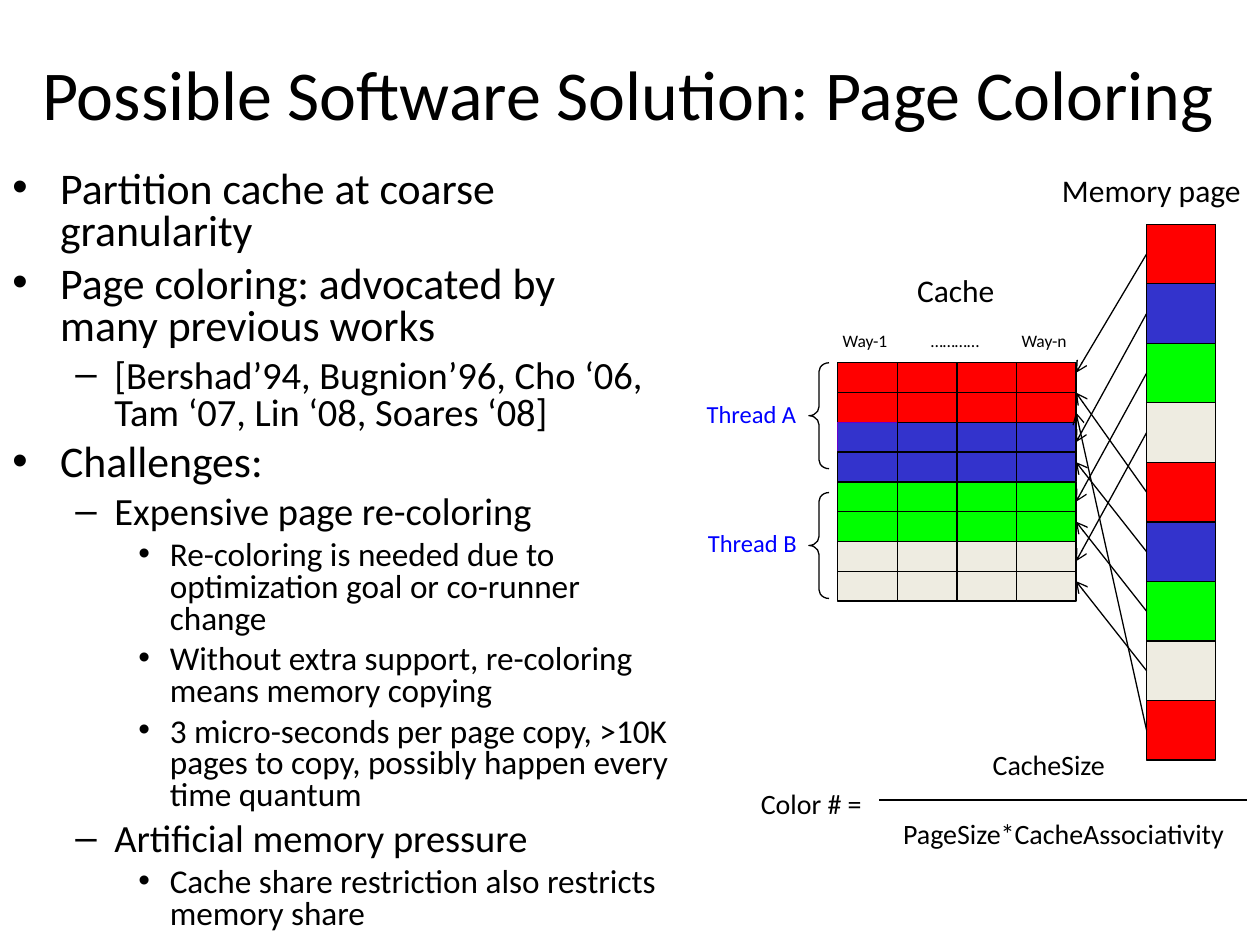
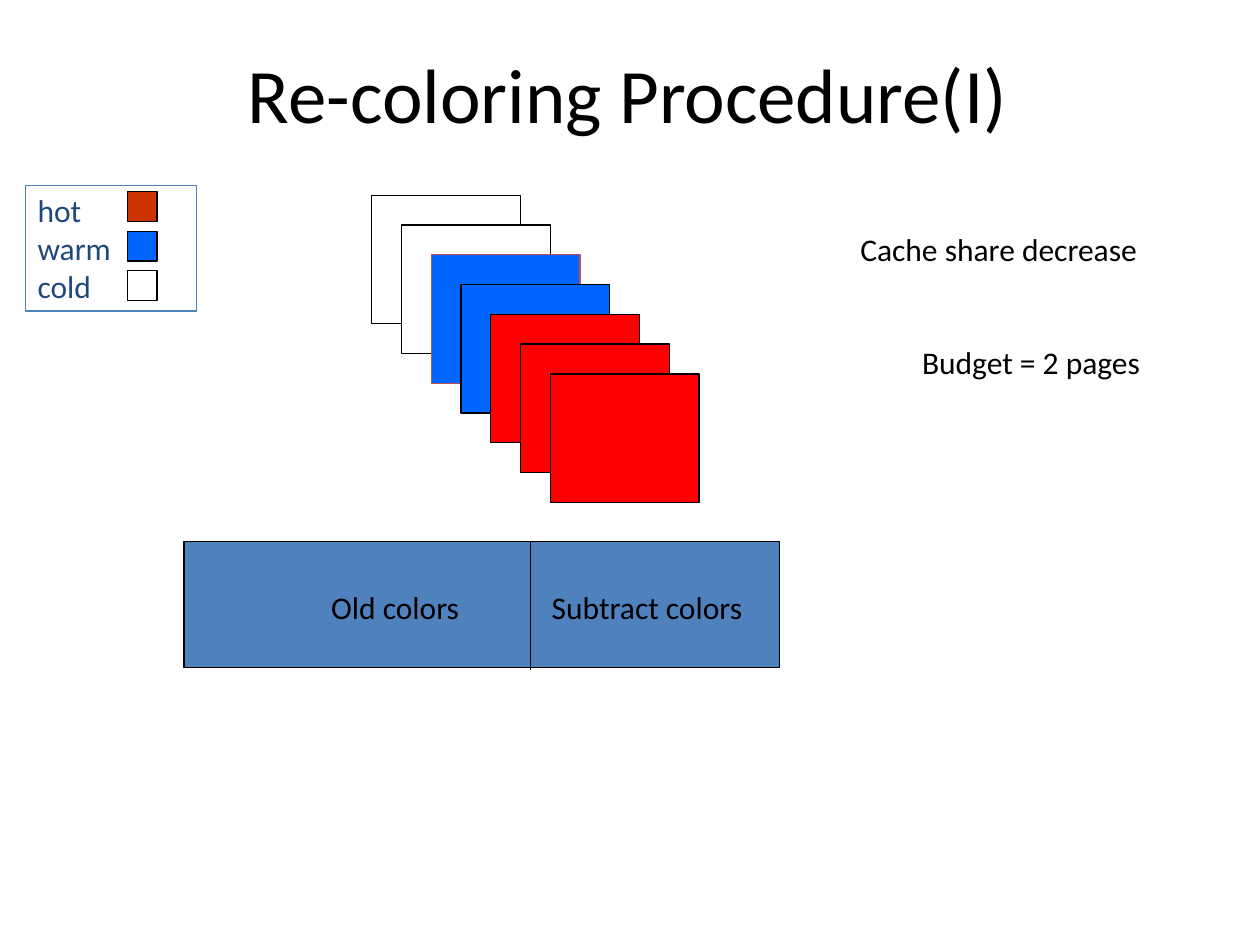
"""Build two slides on page coloring and the re-coloring procedure."""
from lxml.etree import SubElement
from pptx import Presentation
from pptx.dml.color import RGBColor as Rgb
from pptx.enum.shapes import MSO_CONNECTOR as Connector, MSO_SHAPE as Shape
from pptx.enum.text import MSO_ANCHOR as Anchor, MSO_AUTO_SIZE as AutoSize, PP_ALIGN as Align
from pptx.oxml.ns import qn
from pptx.util import Inches, Pt

FONT = "Calibri"
COLORS = {
    "black": "000000", "white": "FFFFFF", "red": "FF0000", "blue": "3333CC",
    "green": "00FF00", "cream": "EEECE1", "violet": "6600CC", "link": "0000FF",
    "steel": "4F81BD", "navy": "1F497D", "warm": "0066FF", "brick": "C0504D",
    "hot": "CC3300",
}
CELL = 1.89 / 4


def box(slide, left, top, width, height, fill, line="black", kind=Shape.RECTANGLE):
    """Add an outlined preset shape, unfilled when fill is None."""
    shape = slide.shapes.add_shape(kind, *map(Inches, (left, top, width, height)))
    shape.shadow.inherit = False
    if fill:
        shape.fill.solid()
        shape.fill.fore_color.rgb = Rgb.from_string(COLORS[fill])
    else:
        shape.fill.background()
    shape.line.color.rgb = Rgb.from_string(COLORS[line])
    shape.line.width = Pt(0.75)
    return shape


def write(paragraph, text, size, color="black"):
    """Add runs to a paragraph, with a line break at each newline."""
    for number, part in enumerate(text.split("\n")):
        if number:
            paragraph.add_line_break()
        run = paragraph.add_run()
        run.text = part
        run.font.name = FONT
        run.font.size = Pt(size)
        run.font.color.rgb = Rgb.from_string(COLORS[color])


prs = Presentation()
prs.slide_width, prs.slide_height = Inches(10), Inches(7.5)
title_only = prs.slide_layouts[5]
coloring, procedure = prs.slides.add_slide(title_only), prs.slides.add_slide(title_only)

for slide, heading, size in [
    (coloring, "Possible Software Solution: Page Coloring", 40),
    (procedure, "Re-coloring Procedure(I)", 44),
]:
    title = slide.shapes.title
    title.left, title.top, title.width, title.height = map(Inches, (0.21, 0.11, 9.55, 1.25))
    title.text_frame.auto_size = AutoSize.NONE
    title.text_frame.vertical_anchor = Anchor.MIDDLE
    title.text_frame.paragraphs[0].alignment = Align.CENTER
    write(title.text_frame.paragraphs[0], heading, size)

LEVELS = [
    {"bullet": "•", "left": 0.38, "hang": 0.38, "size": 25, "before": 6.2},
    {"bullet": "–", "left": 0.81, "hang": 0.31, "size": 22, "before": 5.5},
    {"bullet": "•", "left": 1.25, "hang": 0.25, "size": 19, "before": 4.8},
]
points = [
    (0, "Partition cache at coarse granularity"),
    (0, "Page coloring: advocated by\nmany previous works"),
    (1, "[Bershad’94, Bugnion’96, Cho ‘06, Tam ‘07, Lin ‘08, Soares ‘08]"),
    (0, "Challenges:"),
    (1, "Expensive page re-coloring"),
    (2, "Re-coloring is needed due to optimization goal or co-runner change"),
    (2, "Without extra support, re-coloring means memory copying"),
    (2, "3 micro-seconds per page copy, >10K pages to copy, possibly happen every time quantum"),
    (1, "Artificial memory pressure"),
    (2, "Cache share restriction also restricts memory share"),
]
outline = coloring.shapes.add_textbox(*map(Inches, (0, 1.31, 5.47, 6.19))).text_frame
outline.word_wrap = True
for number, (depth, text) in enumerate(points):
    level = LEVELS[depth]
    paragraph = outline.add_paragraph() if number else outline.paragraphs[0]
    paragraph.level = depth
    paragraph.line_spacing = 0.8
    paragraph.space_before = Pt(level["before"] if number else 0)
    properties = paragraph._p.get_or_add_pPr()
    properties.set("marL", str(Inches(level["left"])))
    properties.set("indent", str(-Inches(level["hang"])))
    SubElement(properties, qn("a:buFont"), typeface="Arial")
    SubElement(properties, qn("a:buChar"), char=level["bullet"])
    write(paragraph, text, level["size"])

page_colors = ["red", "blue", "green", "cream"]
cache_left, cache_top, ways, sets = 6.65, 2.88, 4, 8
cache_right = cache_left + ways * CELL
for row in range(sets):
    for way in range(ways):
        edge = "violet" if (row, way) == (2, 0) else "black"
        box(coloring, cache_left + way * CELL, cache_top + row * CELL / 2,
            CELL, CELL / 2, page_colors[row // 2], edge)

strokes = []
memory_left, memory_top = 9.1, 1.78
for page in range(9):
    lap, color = divmod(page, len(page_colors))
    top = memory_top + page * CELL
    box(coloring, memory_left, top, 0.55, CELL, page_colors[color])
    share = (lap + (1 if color else 0.5)) / 3
    strokes.append((coloring, memory_left, top + CELL / 2,
                    cache_right, cache_top + (color + share) * CELL, 0.75, True))

for top in (cache_top, 3.91):
    brace = box(coloring, 6.42, top, 0.16, 0.84, None, kind=Shape.LEFT_BRACE)
    brace.adjustments[0] = 0.44

bar_left, bar_top = 1.46, 4.3
box(procedure, bar_left, bar_top, 10 * CELL, 1, "steel")
stack = ["white", "white", "warm", "warm", "red", "red", "red"]
for page, fill in enumerate(stack):
    box(procedure, 2.95 + page * CELL / 2, 1.55 + page * CELL / 2,
        2.5 * CELL, 1.02, fill, "brick" if page == 2 else "black")

legend = box(procedure, 0.2, 1.47, 1.36, 1, None, "steel").text_frame
legend.vertical_anchor = Anchor.TOP
legend.word_wrap = True
for number, (heat, fill) in enumerate([("hot", "hot"), ("warm", "warm"), ("cold", "white")]):
    paragraph = legend.add_paragraph() if number else legend.paragraphs[0]
    paragraph.alignment = Align.LEFT
    write(paragraph, heat, 18, "navy")
    box(procedure, 1.01, 1.52 + number * CELL * 2 / 3, CELL / 2, CELL / 2, fill)

strokes += [
    (coloring, 6.98, 6.35, 9.9, 6.35, 1.5, False),
    (procedure, 4.21, bar_top, 4.21, 5.32, 0.75, False),
]
for slide, *ends, weight, has_arrow in strokes:
    stroke = slide.shapes.add_connector(Connector.STRAIGHT, *map(Inches, ends))
    stroke.line.color.rgb = Rgb.from_string(COLORS["black"])
    stroke.line.width = Pt(weight)
    if has_arrow:
        SubElement(stroke.line._get_or_add_ln(), qn("a:tailEnd"), type="arrow")
    SubElement(stroke._element.spPr, qn("a:effectLst"))

captions = [
    (coloring, "Thread A", 5.51, 3.12, 0.93, 14, "link"),
    (coloring, "Thread B", 5.52, 4.14, 0.93, 14, "link"),
    (coloring, "Cache", 7.18, 2.1, 0.85, 18, "black"),
    (coloring, "Way-1", 6.59, 2.57, 0.6, 10, "black"),
    (coloring, "…………", 7.29, 2.57, 0.6, 10, "black"),
    (coloring, "Way-n", 8.01, 2.57, 0.6, 10, "black"),
    (coloring, "Memory page", 8.33, 1.31, 1.65, 18, "black"),
    (coloring, "Color # =", 5.94, 6.19, 1.04, 16, "black"),
    (coloring, "CacheSize", 7.78, 5.88, 1.12, 16, "black"),
    (coloring, "PageSize*CacheAssociativity", 7.07, 6.43, 2.8, 16, "black"),
    (procedure, "Old colors", 2.53, 4.62, 1.25, 18, "black"),
    (procedure, "Subtract colors", 4.28, 4.62, 1.75, 18, "black"),
    (procedure, "Cache share decrease", 6.73, 1.78, 2.43, 18, "black"),
    (procedure, "Budget = 2 pages", 7.22, 2.67, 1.96, 18, "black"),
]
for slide, text, left, top, width, size, color in captions:
    height = 0.1 + size * 1.22 / 72
    caption = slide.shapes.add_textbox(*map(Inches, (left, top, width, height))).text_frame
    caption.word_wrap = False
    caption.paragraphs[0].alignment = Align.LEFT
    write(caption.paragraphs[0], text, size, color)

prs.save("out.pptx")
